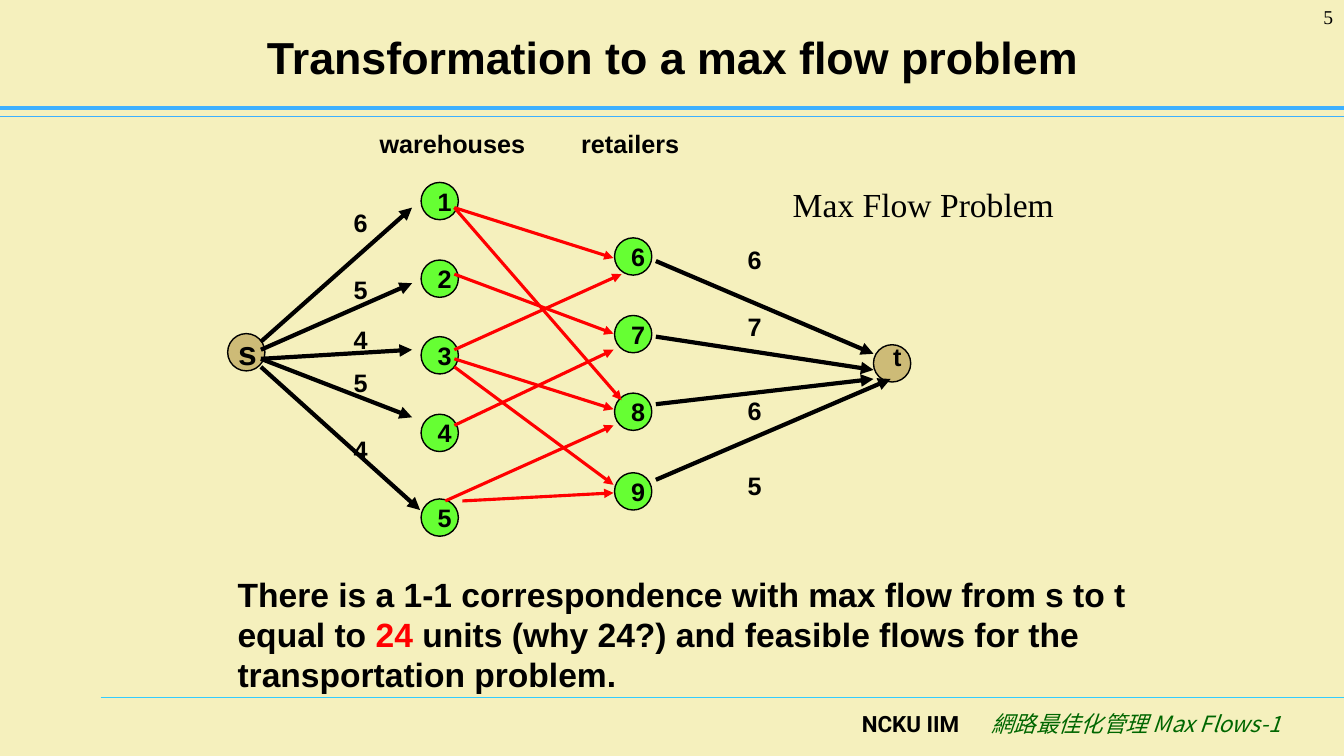
from lxml.etree import SubElement
from pptx import Presentation
from pptx.dml.color import RGBColor
from pptx.enum.shapes import MSO_CONNECTOR, MSO_SHAPE
from pptx.enum.text import MSO_ANCHOR, PP_ALIGN
from pptx.oxml.ns import qn
from pptx.util import Inches, Pt

CREAM = RGBColor(0xF5, 0xF0, 0xBD)
BLACK = RGBColor(0, 0, 0)
RED = RGBColor(0xFF, 0, 0)
GREEN = RGBColor(0x66, 0xFF, 0x33)
TAN = RGBColor(0xCD, 0xBB, 0x77)
DARK_GREEN = RGBColor(0, 0x66, 0)
BLUE = RGBColor(0x3D, 0xB0, 0xFF)
CYAN = RGBColor(0x33, 0xCC, 0xFF)

TITLE = "Transformation to a max flow problem"
RULES = [
    (1, 6.92, CYAN, 0.75),
    (0, 1.16, BLUE, 0.75),
    (0, 1.07, BLUE, 2.5),
]
NODE_SIZE = 0.37
WAREHOUSE_LEFT, RETAILER_LEFT = 4.18, 6.1
WAREHOUSE_TOPS = {"1": 1.81, "2": 2.58, "3": 3.34, "4": 4.11, "5": 4.95}
RETAILER_TOPS = {"6": 2.36, "7": 3.13, "8": 3.9, "9": 4.69}
SHIPPING_ARROWS = [
    (4.51, 2.06, 6.09, 2.56),
    (4.51, 2.06, 6.17, 3.97),
    (4.51, 3.64, 6.09, 4.81),
    (4.51, 2.72, 6.09, 3.31),
    (4.51, 3.47, 6.17, 2.72),
    (4.51, 3.56, 6.09, 4.06),
    (4.51, 4.22, 6.09, 3.47),
    (4.59, 4.97, 6.09, 4.89),
    (4.42, 4.97, 6.09, 4.22),
]
SUPPLY_ARROWS = [
    (2.59, 3.39, 4.09, 2.06),
    (2.59, 3.47, 4.09, 2.81),
    (2.59, 3.56, 4.09, 3.47),
    (2.59, 3.56, 4.09, 4.14),
    (2.59, 3.64, 4.17, 5.06),
]
DEMAND_ARROWS = [
    (6.51, 2.59, 8.67, 3.51),
    (6.51, 3.34, 8.67, 3.67),
    (6.51, 4.01, 8.67, 3.76),
    (6.51, 4.76, 8.84, 3.76),
]
SUPPLY_LEFT, DEMAND_LEFT = 3.51, 7.42
SUPPLIES = [("6", 2.06), ("5", 2.72), ("4", 3.22), ("5", 3.64), ("4", 4.31)]
DEMANDS = [("6", 2.42), ("7", 3.09), ("6", 3.92), ("5", 4.67)]
CONCLUSION = [
    ("There is a 1-1 correspondence with max flow from s to t equal to ", BLACK),
    ("24 ", RED),
    ("units (why 24?) and feasible flows for the transportation problem.", BLACK),
]


def format_font(font, size, name="Arial", bold=True, color=BLACK):
    font.size, font.name, font.bold = Pt(size), name, bold
    font.color.rgb = color


def set_insets(frame, left=0, top=0, right=0, bottom=0):
    frame.margin_left, frame.margin_right = Inches(left), Inches(right)
    frame.margin_top, frame.margin_bottom = Inches(top), Inches(bottom)


def add_text(slide, area, text, size, align=PP_ALIGN.LEFT, wrap=True, **style):
    box = slide.shapes.add_textbox(*map(Inches, area))
    box.text_frame.word_wrap = wrap
    para = box.text_frame.paragraphs[0]
    para.text, para.alignment = text, align
    for span in para.runs:
        format_font(span.font, size, **style)
    return box


def add_line(slide, ends, color, width, arrow=False):
    line = slide.shapes.add_connector(MSO_CONNECTOR.STRAIGHT, *map(Inches, ends))
    line.line.color.rgb, line.line.width = color, Pt(width)
    if arrow:
        SubElement(line.line._get_or_add_ln(), qn("a:tailEnd"), type="triangle")
    SubElement(line._element.spPr, qn("a:effectLst"))


def add_node(slide, left, top, name, fill=GREEN, size=18, indent=0.11, lift=0):
    node = slide.shapes.add_shape(
        MSO_SHAPE.OVAL, *map(Inches, (left, top, NODE_SIZE, NODE_SIZE)))
    node.shadow.inherit = False
    node.fill.solid()
    node.fill.fore_color.rgb = fill
    node.line.color.rgb, node.line.width = BLACK, Pt(1)
    frame = node.text_frame
    set_insets(frame, left=indent, bottom=lift)
    frame.vertical_anchor = MSO_ANCHOR.MIDDLE
    para = frame.paragraphs[0]
    para.text, para.alignment = name, PP_ALIGN.LEFT
    format_font(para.runs[0].font, size)


def add_frame(slide):
    for left, top, color, width in RULES:
        add_line(slide, (left, top, 13.34, top), color, width)
    title = slide.shapes.title
    title.left, title.top, title.width, title.height = map(Inches, (0.68, 0.13, 12, 0.87))
    title.text_frame.text = TITLE
    title.text_frame.vertical_anchor = MSO_ANCHOR.MIDDLE
    para = title.text_frame.paragraphs[0]
    para.alignment = PP_ALIGN.CENTER
    format_font(para.runs[0].font, 32)
    add_text(slide, (12.22, 0, 1.11, 0.5), "5", 14, PP_ALIGN.RIGHT,
             name="Times New Roman", bold=False)
    add_text(slide, (7.62, 7, 2, 0.5), "NCKU IIM", 16, PP_ALIGN.RIGHT, name="Roboto")
    course = add_text(slide, (9.31, 7, 3.5, 0.5), "網路最佳化管理 Max Flows-1", 16,
                      PP_ALIGN.RIGHT, name="Noto Sans CJK SC", bold=False, color=DARK_GREEN)
    font = course.text_frame.paragraphs[0].runs[0].font
    font.italic = True
    SubElement(font._element, qn("a:ea"), typeface="Noto Sans CJK SC")


def add_network(slide):
    for left, tops in ((WAREHOUSE_LEFT, WAREHOUSE_TOPS), (RETAILER_LEFT, RETAILER_TOPS)):
        for name, top in tops.items():
            add_node(slide, left, top, name)
    add_node(slide, 2.26, 3.31, "s", TAN, 24, 0.05)
    add_node(slide, 8.67, 3.42, "t", TAN, 18, 0.14, 0.14)
    for ends in SHIPPING_ARROWS:
        add_line(slide, ends, RED, 2.25, arrow=True)
    for ends in SUPPLY_ARROWS + DEMAND_ARROWS:
        add_line(slide, ends, BLACK, 3, arrow=True)
    for left, amounts in ((SUPPLY_LEFT, SUPPLIES), (DEMAND_LEFT, DEMANDS)):
        for amount, top in amounts:
            label = add_text(slide, (left, top, 0.14, 0.3), amount, 18, wrap=False)
            set_insets(label.text_frame)


def add_captions(slide):
    add_text(slide, (3.67, 1.22, 1.67, 0.4), "warehouses", 18)
    add_text(slide, (5.67, 1.22, 1.67, 0.4), "retailers", 18)
    add_text(slide, (7.77, 1.78, 2.79, 0.5), "Max Flow Problem", 24, wrap=False,
             name="Times New Roman", bold=False)
    conclusion = add_text(slide, (2.26, 5.64, 9.08, 1.3), "", 24)
    para = conclusion.text_frame.paragraphs[0]
    for text, color in CONCLUSION:
        span = para.add_run()
        span.text = text
        format_font(span.font, 24, color=color)


def main():
    """Build the max flow transformation slide."""
    deck = Presentation()
    deck.slide_width, deck.slide_height = Inches(13.34), Inches(7.5)
    slide = deck.slides.add_slide(deck.slide_layouts[5])
    slide.background.fill.solid()
    slide.background.fill.fore_color.rgb = CREAM
    add_frame(slide)
    add_network(slide)
    add_captions(slide)
    deck.save("out.pptx")


if __name__ == "__main__":
    main()
